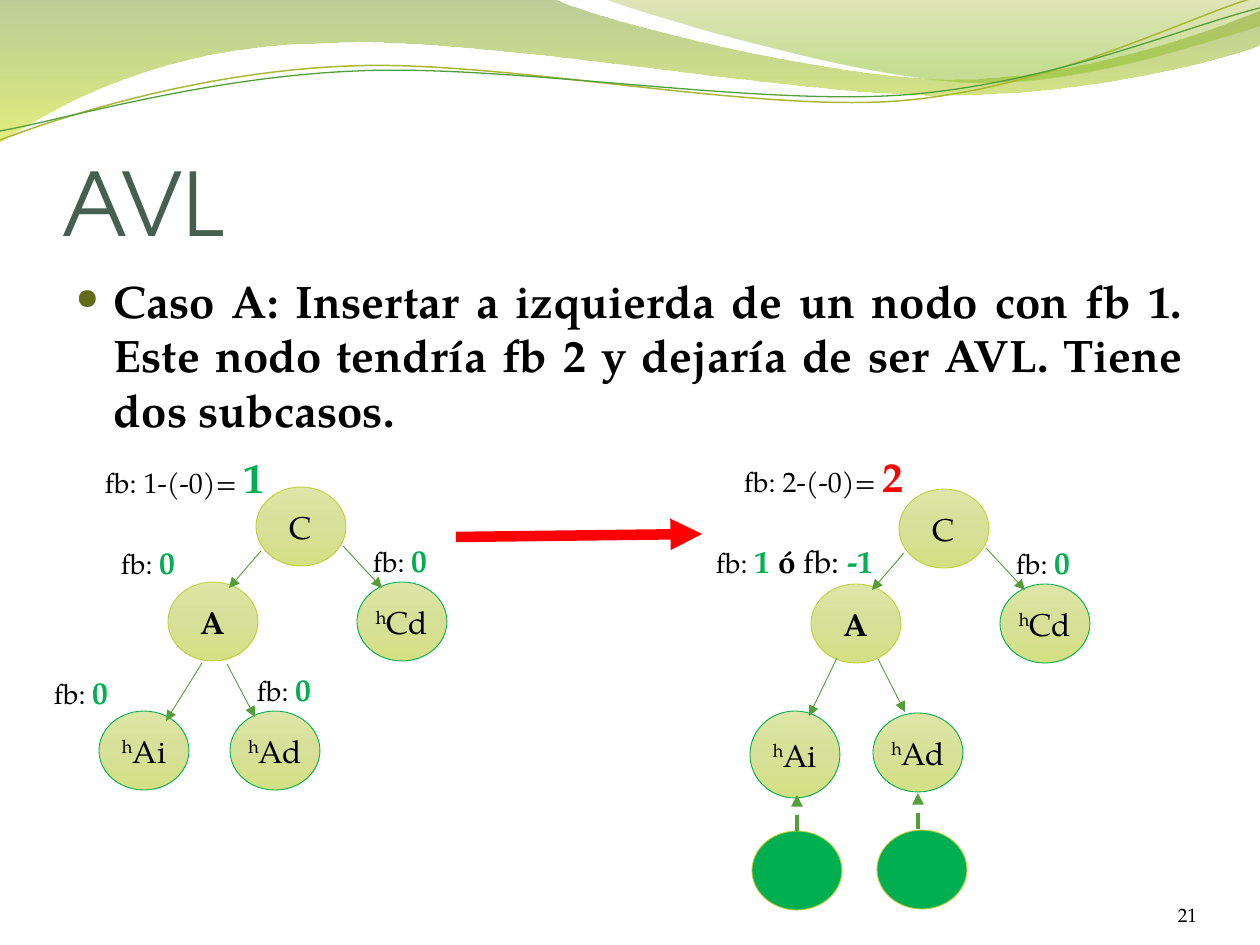
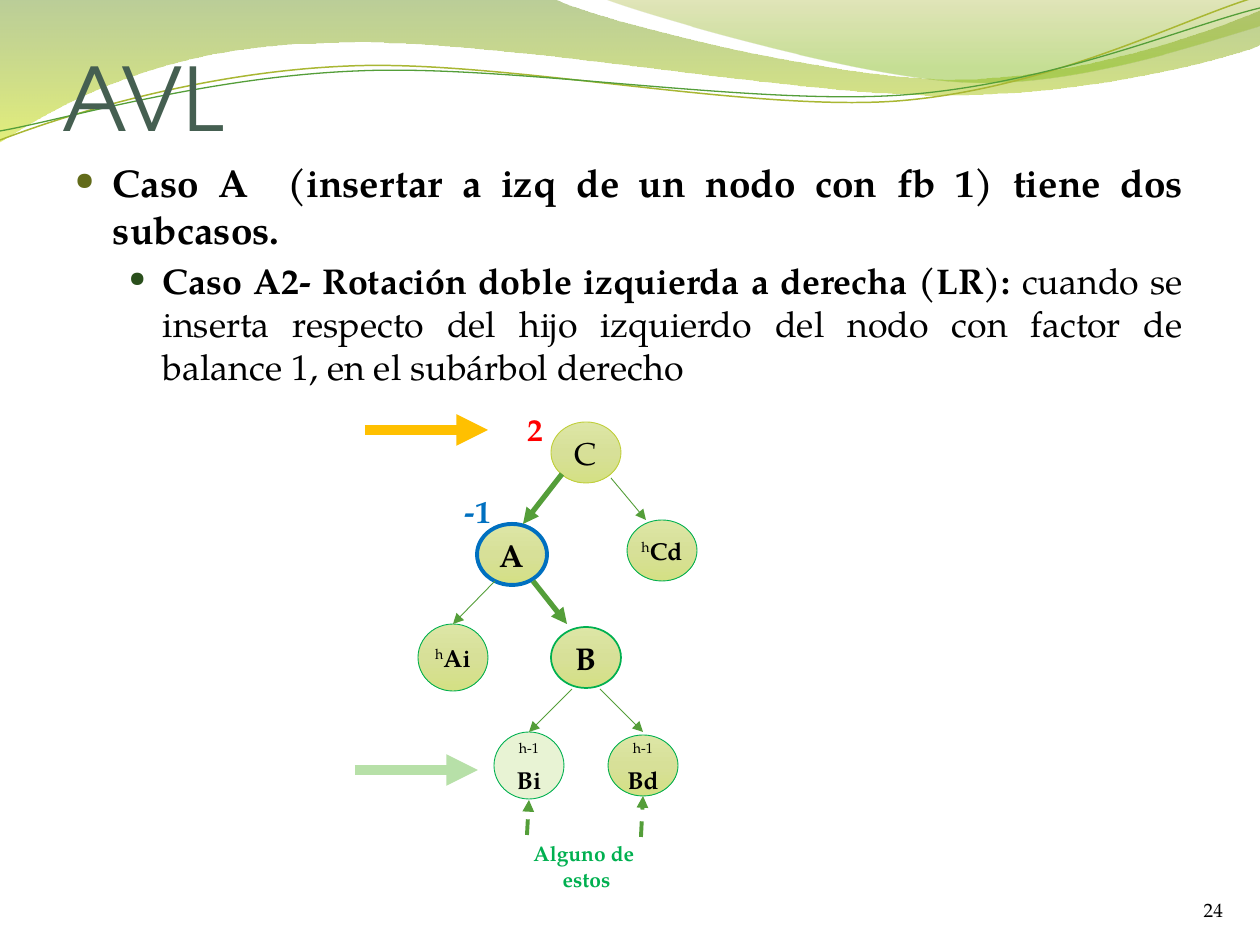
from dataclasses import dataclass

from pptx import Presentation
from pptx import util as u
from pptx.dml.color import RGBColor
from pptx.enum import dml, shapes, text
from pptx.oxml import parse_xml
from pptx.oxml.ns import nsdecls, qn

PX = 914400 / 126  # EMU in one px


@dataclass(frozen=True)
class Theme:
    title_font: str = "TeX Gyre Adventor"
    body_font: str = "TeX Gyre Pagella"
    black: str = "000000"
    title: str = "455F51"
    green: str = "00B050"
    lime: str = "C0CF3A"
    arrow: str = "549E39"
    olive: str = "A9B733"
    red: str = "FF0000"
    blue: str = "0070C0"
    amber: str = "FFC000"
    mint: str = "B7E0A8"
    pale: str = "E8F3D4"
    bullets: tuple = ("626B1A", "2A4F1C")
    # Gradient stops: position, colour, opacity (all but the colour in percent)
    node: tuple = ((0, "DDE6A6", 100), (50, "D7E098", 100), (100, "D4E084", 100))
    wide_band: tuple = ((0, "69921C", 45), (100, "CCE10F", 55))
    right_band: tuple = ((0, "9BAA1A", 30), (80, "81BA16", 45))
    title_size: float = 50
    node_size: float = 18
    leaf_size: float = 14
    label_size: float = 16
    factor_size: float = 18
    root_factor_size: float = 24
    caption_size: float = 12
    number_size: float = 11


THEME = Theme()


@dataclass(frozen=True)
class Run:
    words: str
    size: float
    color: str = THEME.black
    bold: bool = False
    raised: bool = False
    font: str = THEME.body_font


def px(length):
    return u.Emu(round(length * PX))


def rgb(color):
    return RGBColor.from_string(color)


# ---- Text ----

def add_runs(paragraph, runs, align=None):
    paragraph.alignment = align
    for item in runs:
        run = paragraph.add_run()
        run.text = item.words
        run.font.name = item.font
        run.font.size = u.Pt(item.size)
        run.font.bold = item.bold
        run.font.color.rgb = rgb(item.color)
        if item.raised:
            run._r.get_or_add_rPr().set("baseline", "30000")


def set_frame(frame, anchor, insets=(0, 0, 0, 0)):
    frame.word_wrap = True
    frame.vertical_anchor = anchor
    (frame.margin_left, frame.margin_top,
     frame.margin_right, frame.margin_bottom) = map(px, insets)


def add_text(slide, box, paragraphs, align=None,
             anchor=text.MSO_ANCHOR.TOP, insets=(0, 0, 0, 0)):
    frame = slide.shapes.add_textbox(*map(px, box)).text_frame
    set_frame(frame, anchor, insets)
    for index, runs in enumerate(paragraphs):
        paragraph = frame.add_paragraph() if index else frame.paragraphs[0]
        add_runs(paragraph, runs, align)
    return frame


def add_bullet(paragraph, level, indent, hanging, size_percent, space_before):
    paragraph.level = level
    paragraph.space_before = u.Pt(space_before)
    properties = paragraph._p.get_or_add_pPr()
    properties.set("marL", str(px(indent)))
    properties.set("indent", str(-px(hanging)))
    for xml in (
        f'<a:buClr {nsdecls("a")}><a:srgbClr val="{THEME.bullets[level]}"/></a:buClr>',
        f'<a:buSzPct {nsdecls("a")} val="{size_percent * 1000}"/>',
        f'<a:buChar {nsdecls("a")} char="●"/>',
    ):
        properties.append(parse_xml(xml))


def add_body(slide, box, paragraphs):
    frame = add_text(slide, box, paragraphs, text.PP_ALIGN.JUSTIFY, insets=(13, 6, 13, 6))
    styles = ((0, 38, 38, 64, 5), (1, 88, 34, 60, 4))
    for paragraph, style in zip(frame.paragraphs, styles):
        add_bullet(paragraph, *style)


def add_label(slide, left, top, width, *runs):
    add_text(slide, (left, top, width, 38), [runs])


def balance(value, color=THEME.green, size=THEME.factor_size):
    return Run(value, size, color, True)


def add_balance(slide, left, top, value="0", width=113):
    add_label(slide, left, top, width, Run("fb: ", THEME.label_size), balance(value))


# ---- Shapes and lines ----

def paint(shape, fill=None, line=None, width=0.5):
    """Fill with a colour or with gradient stops; None leaves the part empty."""
    shape.shadow.inherit = False
    if isinstance(fill, str):
        shape.fill.solid()
        shape.fill.fore_color.rgb = rgb(fill)
    else:
        shape.fill.background()
    if isinstance(fill, tuple):
        stops = "".join(
            f'<a:gs pos="{position * 1000}"><a:srgbClr val="{color}">'
            f'<a:alpha val="{opacity * 1000}"/></a:srgbClr></a:gs>'
            for position, color, opacity in fill)
        properties = shape._element.spPr
        properties.replace(properties.find(qn("a:noFill")), parse_xml(
            f'<a:gradFill {nsdecls("a")} rotWithShape="1"><a:gsLst>{stops}</a:gsLst>'
            '<a:lin ang="5400000" scaled="0"/></a:gradFill>'))
    if line:
        shape.line.color.rgb = rgb(line)
        shape.line.width = u.Pt(width)
    else:
        shape.line.fill.background()


def add_node(slide, left, top, size, runs=(), line=THEME.green, width=0.5, fill=THEME.node):
    shape = slide.shapes.add_shape(
        shapes.MSO_SHAPE.OVAL, *map(px, (left, top, *size)))
    paint(shape, fill, line, width)
    set_frame(shape.text_frame, text.MSO_ANCHOR.MIDDLE, (2, 0, 2, 0))
    add_runs(shape.text_frame.paragraphs[0], runs, text.PP_ALIGN.CENTER)
    return shape


def add_arrow(slide, start, end, color=THEME.arrow, width=0.5, dashed=False,
              start_node=None, end_node=None):
    connector = slide.shapes.add_connector(
        shapes.MSO_CONNECTOR.STRAIGHT, *map(px, (*start, *end)))
    connector.line.color.rgb = rgb(color)
    connector.line.width = u.Pt(width)
    if dashed:
        connector.line.dash_style = dml.MSO_LINE.DASH
    connector.line._get_or_add_ln().append(
        parse_xml(f'<a:tailEnd {nsdecls("a")} type="triangle"/>'))
    connector._element.spPr.append(parse_xml(f'<a:effectLst {nsdecls("a")}/>'))
    if start_node is not None:
        connector.begin_connect(start_node, 0)
    if end_node is not None:
        connector.end_connect(end_node, 0)


def add_wave(slide, start, pieces, closed, **style):
    """Draw pieces of one point (straight) or three points (Bézier curve)."""
    builder = slide.shapes.build_freeform(*map(px, start))
    builder.add_line_segments([tuple(map(px, piece[-1])) for piece in pieces], close=closed)
    shape = builder.convert_to_shape()
    segments = list(shape._element.iter(qn("a:lnTo")))
    for segment, piece in zip(segments, pieces):
        if len(piece) == 3:
            points = "".join(
                f'<a:pt x="{px(x) - shape.left}" y="{px(y) - shape.top}"/>'
                for x, y in piece)
            segment.getparent().replace(segment, parse_xml(
                f'<a:cubicBezTo {nsdecls("a")}>{points}</a:cubicBezTo>'))
    paint(shape, **style)


# ---- Parts shared by the slides ----

def add_waves(slide):
    add_wave(slide, (0, 0), (
        ((554, -1),),
        ((599, 21), (835, 79), (955, 79)),
        ((1075, 79), (1207, 33), (1260, 11)),
        ((1261, 45),),
        ((1239, 55), (1095, 96), (940, 95)),
        ((784, 95), (480, 35), (324, 43)),
        ((163, 45), (58, 105), (-1, 142)),
    ), True, fill=THEME.wide_band)
    add_wave(slide, (604, -1), (
        ((641, 14), (859, 78), (968, 82)),
        ((1077, 87), (1211, 40), (1260, 26)),
        ((1260, 0),),
    ), True, fill=THEME.right_band)
    add_wave(slide, (0, 140), (
        ((60, 117), (198, 72), (348, 66)),
        ((498, 59), (746, 112), (897, 101)),
        ((1050, 89), (1182, 19), (1256, -3)),
    ), False, line=THEME.olive, width=0.85)
    add_wave(slide, (0, 131), (
        ((59, 121), (205, 77), (357, 71)),
        ((507, 64), (752, 106), (903, 95)),
        ((1053, 84), (1186, 26), (1260, 8)),
    ), False, line=THEME.arrow, width=0.75)


def add_base_slide(presentation, title_top, number, number_left, number_top):
    slide = presentation.slides.add_slide(presentation.slide_layouts[6])
    add_waves(slide)
    add_text(slide, (63, title_top, 1134, 158),
             [[Run("AVL", THEME.title_size, THEME.title, font=THEME.title_font)]],
             anchor=text.MSO_ANCHOR.BOTTOM, insets=(0, 6, 0, 0))
    add_text(slide, (number_left, number_top, 105, 50),
             [[Run(number, THEME.number_size)]],
             text.PP_ALIGN.RIGHT, text.MSO_ANCHOR.BOTTOM)
    return slide


def name(words, bold=False):
    return [Run(words, THEME.node_size, bold=bold)]


def height(power, words, size=THEME.node_size, bold=False):
    return [Run(power, size, raised=True), Run(words, size, bold=bold)]


# ---- Slide: inserting on the left ----

def add_insertion_tree(slide, dx, dy, size):
    """Nodes, arrows and label found both before and after the insertion."""
    for left, top, runs, line in (
        (168, 582, name("A", True), THEME.lime),
        (256, 487, name("C"), THEME.lime),
        (357, 582, height("h", "Cd"), THEME.green),
        (230, 711, height("h", "Ad"), THEME.green),
    ):
        add_node(slide, left + dx, top + dy, size, runs, line)
    for x1, y1, x2, y2 in ((261, 551, 229, 588), (343, 546, 382, 588)):
        add_arrow(slide, (x1 + dx, y1 + dy), (x2 + dx, y2 + dy))
    add_balance(slide, 373 + dx, 541 + dy)


def add_root_balance(slide, left, top, sum_words, value, color):
    add_label(slide, left, top, 227, Run(sum_words, THEME.label_size),
              balance(value, color, THEME.root_factor_size))


def build_insertion(presentation):
    slide = add_base_slide(presentation, 96, "21", 1092, 876)
    add_body(slide, (63, 267, 1134, 605), [[Run(
        "Caso A: Insertar a izquierda de un nodo con fb 1. Este nodo tendría fb 2 "
        "y dejaría de ser AVL. Tiene dos subcasos.", 26, bold=True)]])
    add_arrow(slide, (456, 537), (702, 534), THEME.red, 6)
    size = (90, 79)

    # Before
    add_insertion_tree(slide, 0, 0, size)
    add_node(slide, 99, 711, size, height("h", "Ai"))
    add_arrow(slide, (202, 663), (166, 721))
    add_arrow(slide, (227, 664), (255, 717))
    add_root_balance(slide, 105, 452, "fb: 1-(-0)= ", "1", THEME.green)
    for left, top in ((121, 543), (54, 673), (257, 670)):
        add_balance(slide, left, top)

    # After
    add_insertion_tree(slide, 643, 2, size)
    add_node(slide, 750, 711, (90, 87), height("h", "Ai"))
    add_arrow(slide, (837, 658), (809, 716))
    add_arrow(slide, (878, 659), (905, 712))
    add_root_balance(slide, 744, 451, "fb: 2-(-0)= ", "2", THEME.red)
    add_label(slide, 716, 542, 213, Run("fb: ", THEME.label_size), balance("1 "),
              balance("ó ", THEME.black), Run("fb: ", THEME.factor_size), balance("-1"))
    inserted_left = add_node(slide, 752, 831, size, line=THEME.lime, fill=THEME.green)
    add_node(slide, 877, 830, size, line=THEME.lime, fill=THEME.green)
    add_arrow(slide, (797, 831), (797, 795), width=2.25, dashed=True,
              start_node=inserted_left)
    add_arrow(slide, (918, 829), (918, 793), width=2.25, dashed=True)


# ---- Slide: double rotation ----

def build_double_rotation(presentation):
    slide = add_base_slide(presentation, -9, "24", 1118, 871)
    add_body(slide, (62, 153, 1134, 202), [
        [Run("Caso A  (insertar a izq de un nodo con fb 1) tiene dos subcasos.",
             22.1, bold=True)],
        [Run("Caso A2- Rotación doble izquierda a derecha (LR): ", 20.4, bold=True),
         Run("cuando se inserta respecto del hijo izquierdo del nodo con factor de "
             "balance 1, en el subárbol derecho ", 20.4)],
    ])
    add_arrow(slide, (355, 770), (478, 770), THEME.mint, 6)
    add_arrow(slide, (365, 430), (488, 430), THEME.amber, 6)

    # Nodes
    size, tall = (70, 61), (70, 67)
    leaf = THEME.leaf_size
    add_node(slide, 551, 422, size, name("C"), THEME.lime)
    add_node(slide, 477, 524, size, name("A", True), THEME.blue, 2.25)
    add_node(slide, 551, 627, size, name("B", True), width=1)
    add_node(slide, 627, 520, size, height("h", "Cd", leaf, True))
    node_ai = add_node(slide, 418, 624, tall, height("h", "Ai", leaf, True))
    node_bi = add_node(slide, 494, 732, tall, height("h-1 ", "Bi", leaf, True),
                       fill=THEME.pale)
    add_node(slide, 608, 735, size, height("h-1 ", "Bd", leaf, True))

    # Branches
    add_arrow(slide, (562, 474), (523, 524), width=3)
    add_arrow(slide, (533, 581), (567, 624), width=3)
    add_arrow(slide, (611, 478), (646, 520))
    add_arrow(slide, (495, 581), (453, 624), end_node=node_ai)
    add_arrow(slide, (572, 689), (529, 732), end_node=node_bi)
    add_arrow(slide, (600, 689), (643, 732))
    add_arrow(slide, (527, 835), (529, 800), width=2.25, dashed=True)
    add_arrow(slide, (641, 837), (643, 796), width=2.25, dashed=True)

    # Balance factors and caption
    add_label(slide, 528, 410, 37, balance("2", THEME.red))
    add_label(slide, 465, 492, 35, balance("-1", THEME.blue))
    add_text(slide, (477, 841, 219, 50),
             [[Run(words, THEME.caption_size, THEME.green, True)]
              for words in ("Alguno de ", "estos")], text.PP_ALIGN.CENTER)


def main():
    presentation = Presentation()
    presentation.slide_width = px(1260)
    presentation.slide_height = px(945)
    build_insertion(presentation)
    build_double_rotation(presentation)
    presentation.save("out.pptx")


if __name__ == "__main__":
    main()
